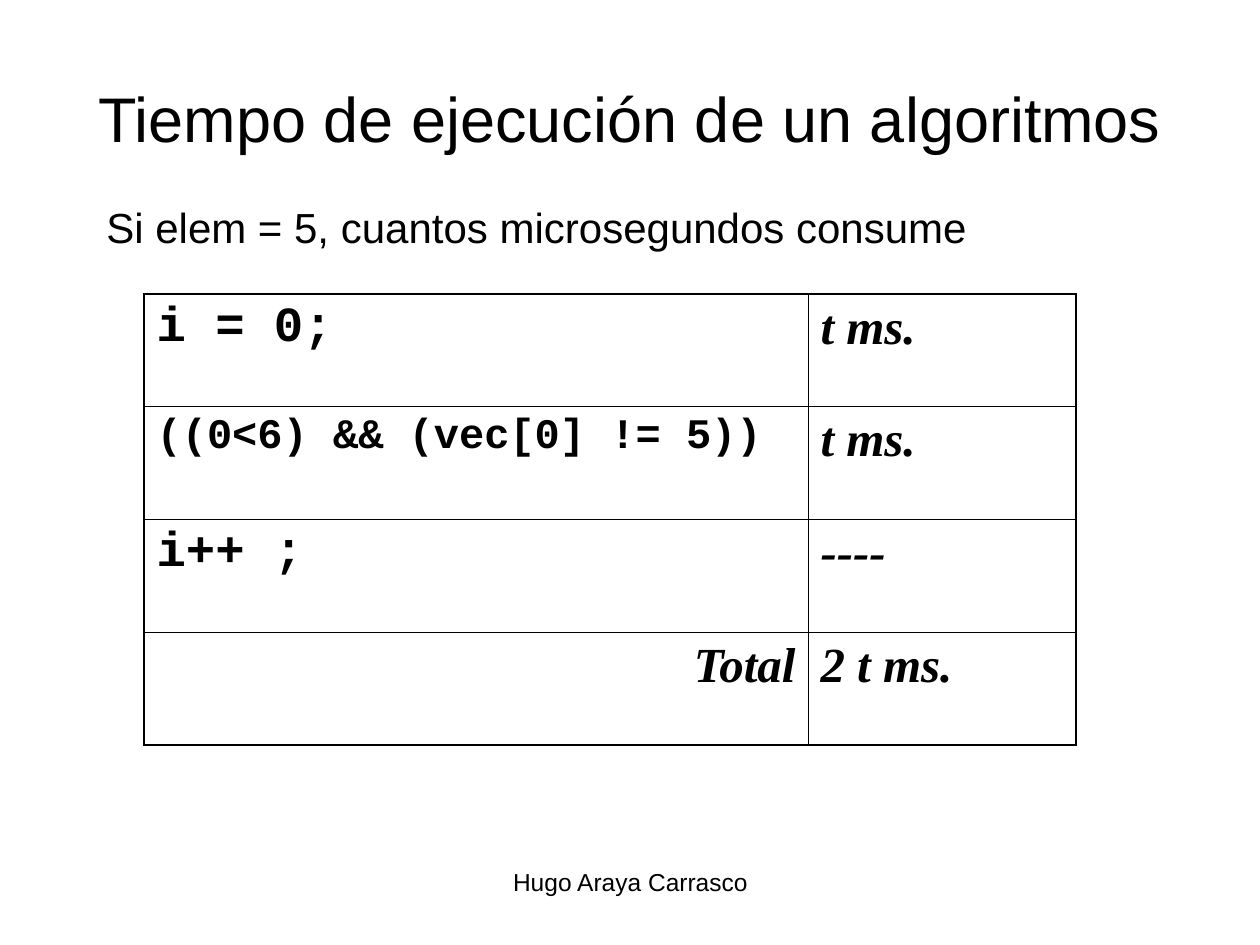
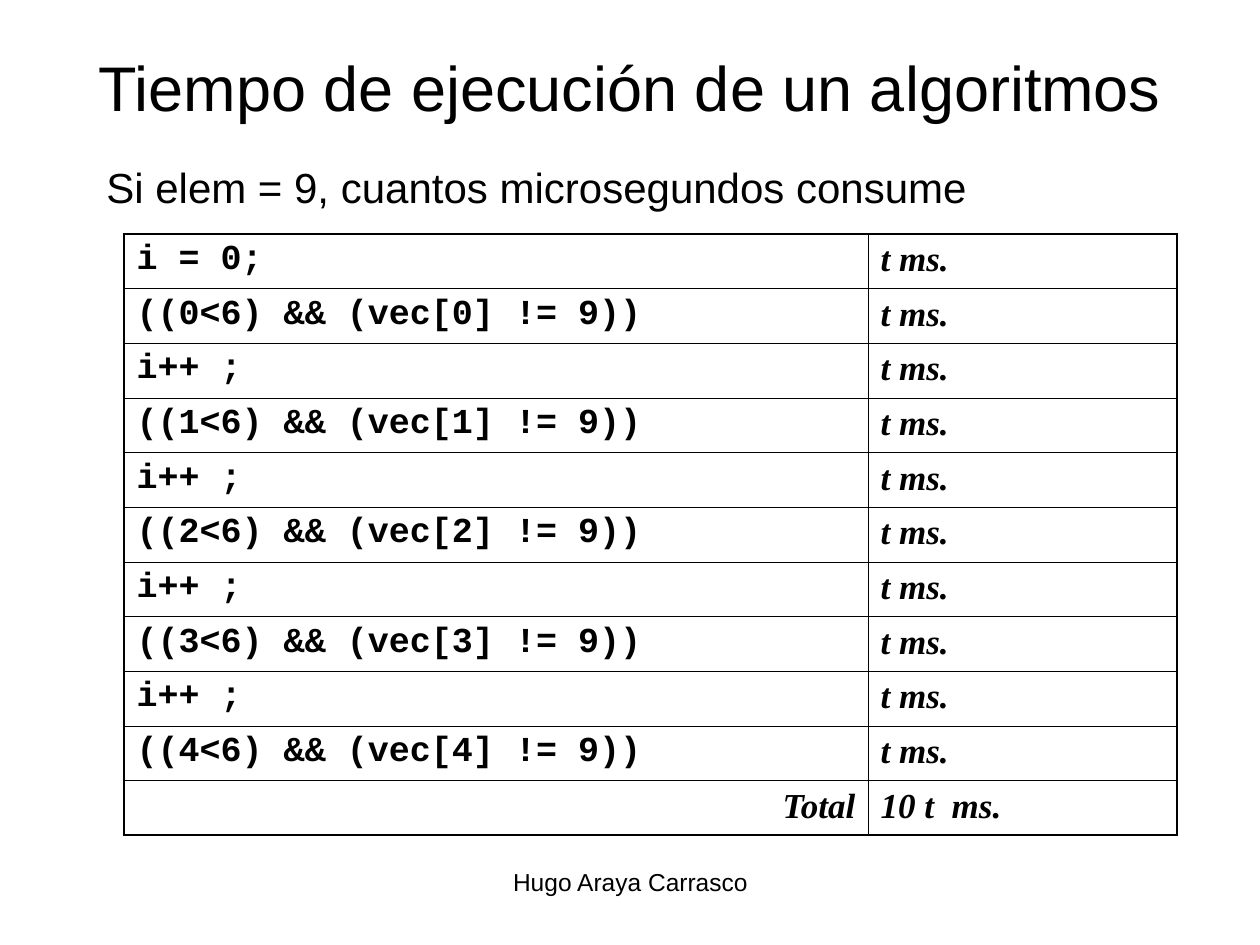
from lxml import etree
from pptx import Presentation
from pptx import util as u
from pptx.dml.color import RGBColor
from pptx.enum import text
from pptx.oxml import ns

# Shared style
BLACK = "000000"
SANS, MONO, SERIF = "Arial", "Courier New", "Times New Roman"
THICK, THIN = 1.08, 0.45
TITLE = "Tiempo de ejecución de un algoritmos"
AUTHOR = "Hugo Araya Carrasco"
LEFT, MID, RIGHT = text.PP_ALIGN.LEFT, text.PP_ALIGN.CENTER, text.PP_ALIGN.RIGHT


def px(n):
    return u.Emu(round(n * 914400 / 126))


def color(code):
    return RGBColor.from_string(code)


def add_run(para, words, font, size, bold=False, italic=False):
    run = para.add_run()
    run.text = words
    run.font.name = font
    run.font.size = u.Pt(size)
    run.font.bold = bold
    run.font.italic = italic
    run.font.color.rgb = color(BLACK)


def add_text(slide, box, words, size, align=LEFT, anchor=text.MSO_ANCHOR.TOP):
    frame = slide.shapes.add_textbox(*map(px, box)).text_frame
    frame.word_wrap = True
    frame.vertical_anchor = anchor
    para = frame.paragraphs[0]
    para.alignment = align
    add_run(para, words, SANS, size)


def add_edge(cell, side, width):
    props = cell._tc.get_or_add_tcPr()
    line = etree.SubElement(props, ns.qn(f"a:ln{side}"), w=str(int(u.Pt(width))))
    fill = etree.SubElement(line, ns.qn("a:solidFill"))
    etree.SubElement(fill, ns.qn("a:srgbClr"), val=BLACK)


def add_cell(grid, row, col, words, font, size, align=LEFT):
    cell = grid.cell(row, col)
    last_row, last_col = len(grid.rows) - 1, len(grid.columns) - 1
    outer = {"L": col == 0, "R": col == last_col,
             "T": row == 0, "B": row == last_row}
    for side, edge in outer.items():
        add_edge(cell, side, THICK if edge else THIN)
    cell.fill.background()
    para = cell.text_frame.paragraphs[0]
    para.alignment = align
    add_run(para, words, font, size, bold=True, italic=font == SERIF)


def add_costs(slide, box, code_width, steps, total, size):
    """Each step is (code, cost, code size); the total closes the table."""
    left, top, width, height = box
    count = len(steps) + 1
    frame = slide.shapes.add_table(count, 2, *map(px, box))
    grid = frame.table
    grid.first_row = grid.horz_banding = False
    grid.columns[0].width = px(code_width)
    grid.columns[1].width = px(width - code_width)
    for row in grid.rows:
        row.height = px(height / count)
    for row, (code, cost, code_size) in enumerate(steps):
        add_cell(grid, row, 0, code, MONO, code_size)
        add_cell(grid, row, 1, cost, SERIF, size)
    add_cell(grid, count - 1, 0, "Total", SERIF, size, RIGHT)
    add_cell(grid, count - 1, 1, total, SERIF, size)


def add_page(deck, title_height, body_top, elem):
    slide = deck.slides.add_slide(deck.slide_layouts[6])
    add_text(slide, (63, 38, 1134, title_height), TITLE, 36, MID,
             text.MSO_ANCHOR.MIDDLE)
    add_text(slide, (94, body_top, 1062, 810 - body_top),
             f"Si elem = {elem}, cuantos microsegundos consume", 24)
    add_text(slide, (431, 861, 399, 66), AUTHOR, 14, MID)
    return slide


def main():
    deck = Presentation()
    deck.slide_width, deck.slide_height = px(1260), px(945)

    # Element found at the first position
    slide = add_page(deck, 158, 195, 5)
    steps = [("i = 0;", "t ms.", 28),
             ("((0<6) && (vec[0] != 5))", "t ms.", 24),
             ("i++ ;", "----", 28)]
    add_costs(slide, (144, 294, 932, 451), 664, steps, "2 t ms.", 28)

    # Element found at the fifth position
    slide = add_page(deck, 97, 155, 9)
    codes = ["i = 0;"]
    for i in range(5):
        codes += [f"(({i}<6) && (vec[{i}] != 9))", "i++ ;"]
    steps = [(code, "t ms.", 20) for code in codes[:-1]]
    add_costs(slide, (124, 234, 1053, 600), 744, steps, "10 t  ms.", 20)

    deck.save("out.pptx")


if __name__ == "__main__":
    main()
